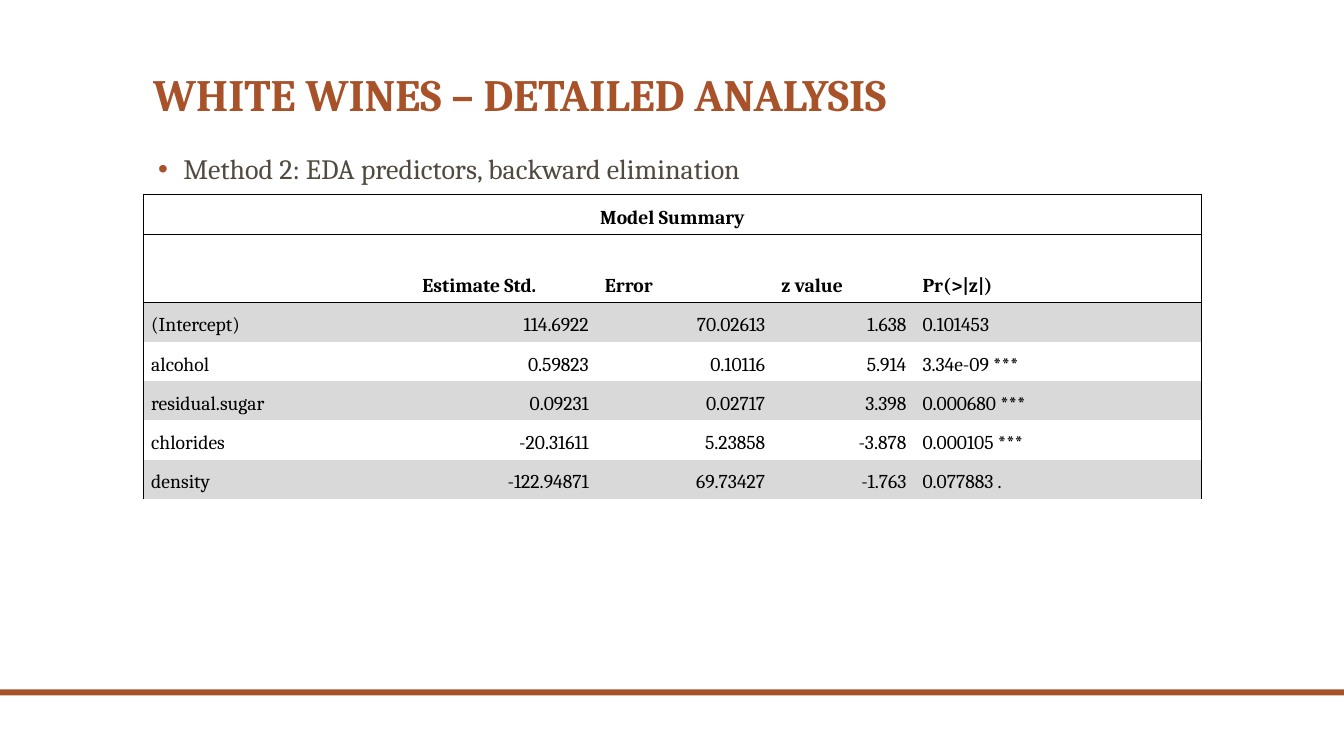
import lxml.etree
import pptx
import pptx.dml.color
import pptx.enum.shapes
import pptx.enum.text
import pptx.oxml.ns
import pptx.util

Inches = pptx.util.Inches
ALIGN = pptx.enum.text.PP_ALIGN
ANCHOR = pptx.enum.text.MSO_ANCHOR
RUST = pptx.dml.color.RGBColor(0xA8, 0x52, 0x29)
BROWN = pptx.dml.color.RGBColor(0x51, 0x4A, 0x40)
BLACK = pptx.dml.color.RGBColor(0, 0, 0)
GREY = pptx.dml.color.RGBColor(0xD9, 0xD9, 0xD9)

HEADINGS = ["", "Estimate Std.", "Error", "z value", "Pr(>|z|)"]
PREDICTORS = [
    ["(Intercept)", "114.6922", "70.02613", "1.638", "0.101453"],
    ["alcohol", "0.59823", "0.10116", "5.914", "3.34e-09 ***"],
    ["residual.sugar", "0.09231", "0.02717", "3.398", "0.000680 ***"],
    ["chlorides", "-20.31611", "5.23858", "-3.878", "0.000105 ***"],
    ["density", "-122.94871", "69.73427", "-1.763", "0.077883 ."],
]
COLUMN_WIDTHS = [2.69, 1.81, 1.75, 1.4, 2.85]
ROW_HEIGHTS = [0.39, 0.68] + [0.39] * len(PREDICTORS)


def add_node(parent, tag, **attributes):
    node = lxml.etree.SubElement(parent, pptx.oxml.ns.qn(tag))
    for name, value in attributes.items():
        node.set(name, str(value))
    return node


def write(para, text, size=14, color=BLACK, bold=False, align=ALIGN.LEFT, font="Cambria"):
    para.alignment = align
    span = para.add_run()
    span.text = text
    span.font.name = font
    span.font.size = pptx.util.Pt(size)
    span.font.bold = bold
    span.font.color.rgb = color


class SlideBuilder:
    def __init__(self, page):
        self.page = page

    def bar(self, left, top, width, height, color):
        bar = self.page.shapes.add_shape(
            pptx.enum.shapes.MSO_SHAPE.RECTANGLE,
            Inches(left), Inches(top), Inches(width), Inches(height))
        bar.shadow.inherit = False
        bar.fill.solid()
        bar.fill.fore_color.rgb = color
        bar.line.fill.background()

    def text(self, left, top, width, height, text, anchor=ANCHOR.TOP, bullet=None, **style):
        box = self.page.shapes.add_textbox(
            Inches(left), Inches(top), Inches(width), Inches(height))
        frame = box.text_frame
        frame.word_wrap = True
        frame.vertical_anchor = anchor
        para = frame.paragraphs[0]
        para.line_spacing = 0.9
        if bullet:
            properties = para._p.get_or_add_pPr()
            properties.set("marL", str(Inches(0.3)))
            properties.set("indent", str(Inches(-0.25)))
            color = add_node(properties, "a:buClr")
            add_node(color, "a:srgbClr", val=RUST)
            add_node(properties, "a:buFont", typeface="Arial")
            add_node(properties, "a:buChar", char=bullet)
        write(para, text, **style)

    def borders(self, cell, sides):
        properties = cell._tc.get_or_add_tcPr()
        for side in "LRTB":
            line = add_node(properties, f"a:ln{side}", w=pptx.util.Pt(0.5))
            if side in sides:
                fill = add_node(line, "a:solidFill")
                add_node(fill, "a:srgbClr", val=BLACK)
            else:
                add_node(line, "a:noFill")

    def cell(self, cell, text, sides, fill=None, inset=(0.08, 0.05), **style):
        self.borders(cell, sides)
        if fill is None:
            cell.fill.background()
        else:
            cell.fill.solid()
            cell.fill.fore_color.rgb = fill
        cell.margin_left = cell.margin_right = Inches(inset[0])
        cell.margin_top = cell.margin_bottom = Inches(inset[1])
        cell.vertical_anchor = ANCHOR.BOTTOM
        if text:
            write(cell.text_frame.paragraphs[0], text, **style)

    def summary_table(self, left, top):
        table = self.page.shapes.add_table(
            len(ROW_HEIGHTS), len(COLUMN_WIDTHS), Inches(left), Inches(top),
            Inches(sum(COLUMN_WIDTHS)), Inches(sum(ROW_HEIGHTS))).table
        table.first_row = False
        table.horz_banding = False
        for column, width in zip(table.columns, COLUMN_WIDTHS):
            column.width = Inches(width)
        for row, height in zip(table.rows, ROW_HEIGHTS):
            row.height = Inches(height)
        last = len(COLUMN_WIDTHS) - 1
        table.cell(0, 0).merge(table.cell(0, last))
        for column in range(last + 1):
            title = "" if column else "Model Summary"
            self.cell(table.cell(0, column), title, "LRTB", inset=(0.06, 0.04),
                      bold=True, align=ALIGN.CENTER)
        for row, values in enumerate([HEADINGS] + PREDICTORS, start=1):
            heading = row == 1
            for column, value in enumerate(values):
                sides = {0: "L", last: "R"}.get(column, "")
                sides += {1: "TB", 2: "T"}.get(row, "")
                number = not heading and 0 < column < last
                self.cell(table.cell(row, column), value, sides,
                          fill=None if row % 2 else GREY, bold=heading,
                          align=ALIGN.RIGHT if number else ALIGN.LEFT)


def main():
    deck = pptx.Presentation()
    deck.slide_width = Inches(13.33)
    deck.slide_height = Inches(7.5)
    slide = SlideBuilder(deck.slides.add_slide(deck.slide_layouts[6]))
    slide.bar(0, 6.84, 13.33, 0.06, RUST)
    slide.text(1.42, 0, 10.5, 1.25, "WHITE WINES – DETAILED ANALYSIS",
               anchor=ANCHOR.BOTTOM, size=32, color=RUST, bold=True)
    slide.text(1.42, 1.49, 10.5, 5.01, "Method 2: EDA predictors, backward elimination",
               bullet="•", size=20, color=BROWN)
    slide.summary_table(1.42, 1.93)
    deck.save("out.pptx")


if __name__ == "__main__":
    main()
